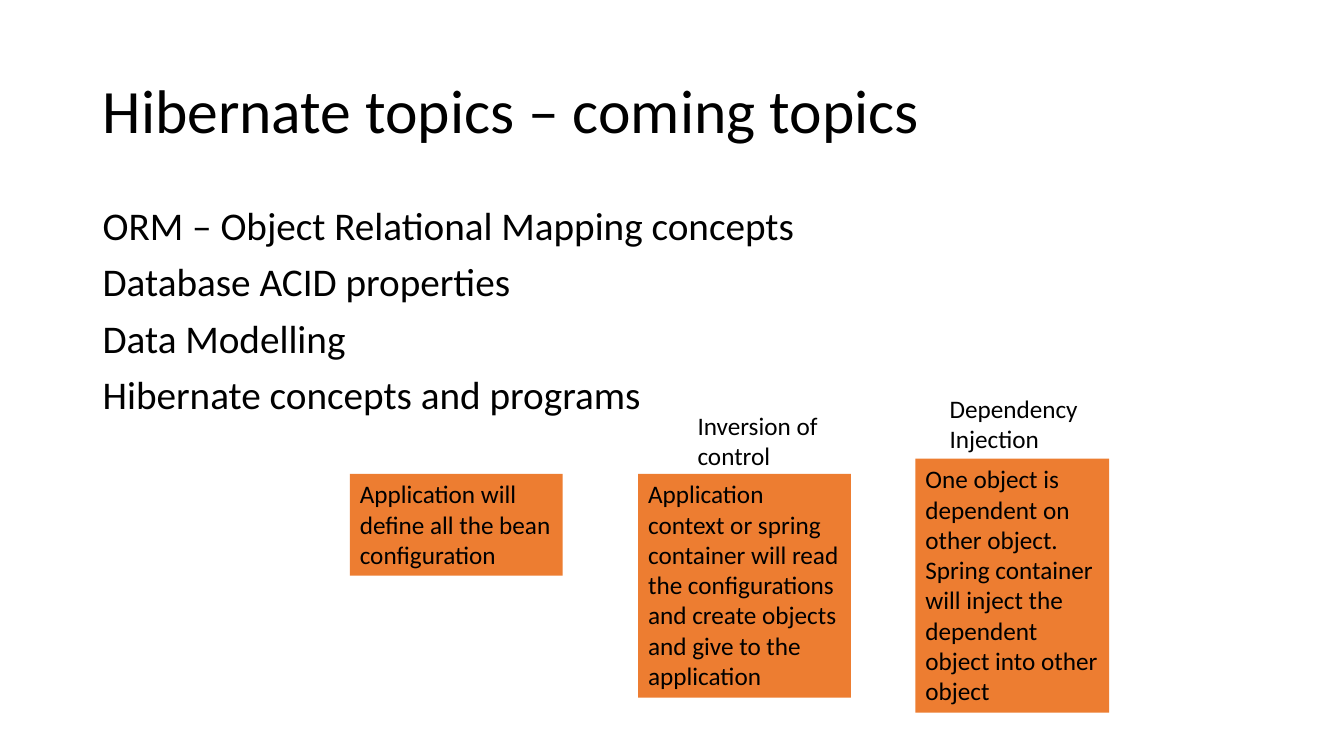
"""Build a slide on coming Hibernate topics with three notes."""
from pptx import Presentation
from pptx.dml.color import RGBColor
from pptx.enum.shapes import MSO_SHAPE
from pptx.enum.text import MSO_ANCHOR, PP_ALIGN
from pptx.util import Inches, Pt


def color(code):
    return RGBColor.from_string(code)


def write(frame, *lines, size=18, font="Calibri", ink="000000",
          lead=None, gap=0, anchor=MSO_ANCHOR.TOP):
    frame.word_wrap = True
    frame.vertical_anchor = anchor
    for row, line in enumerate(lines):
        para = frame.add_paragraph() if row else frame.paragraphs[0]
        para.alignment = PP_ALIGN.LEFT
        para.line_spacing = lead
        para.space_before = Pt(gap)
        run = para.add_run()
        run.text = line
        run.font.size = Pt(size)
        run.font.name = font
        run.font.color.rgb = color(ink)


class Deck:
    def __init__(self, wide, high, fill):
        self.show = Presentation()
        self.show.slide_width = Inches(wide)
        self.show.slide_height = Inches(high)
        self.slide = self.show.slides.add_slide(self.show.slide_layouts[6])
        self.fill = fill

    def text(self, box, *lines, **style):
        shape = self.slide.shapes.add_textbox(*map(Inches, box))
        write(shape.text_frame, *lines, **style)

    def note(self, box, line):
        shape = self.slide.shapes.add_shape(
            MSO_SHAPE.RECTANGLE, *map(Inches, box))
        shape.shadow.inherit = False
        shape.fill.solid()
        shape.fill.fore_color.rgb = color(self.fill)
        shape.line.fill.background()
        write(shape.text_frame, line)


def main():
    deck = Deck(13.33, 7.5, "ED7D31")
    deck.text((0.92, 0.4, 11.5, 1.45), "Hibernate topics – coming topics",
              size=44, lead=0.9, anchor=MSO_ANCHOR.MIDDLE)
    deck.text((0.92, 2, 11.5, 4.76),
              "ORM – Object Relational Mapping concepts",
              "Database ACID properties",
              "Data Modelling",
              "Hibernate concepts and programs",
              size=28, lead=0.9, gap=10)
    notes = [
        ((3.47, 4.7, 2.11, 1.01),
         "Application will define all the bean configuration"),
        ((6.33, 4.7, 2.11, 2.22),
         "Application context or spring container will read the "
         "configurations and create objects and give to the application"),
        ((9.08, 4.55, 1.92, 2.52),
         "One object is dependent on other object. Spring container "
         "will inject the dependent object into other object"),
    ]
    for box, line in notes:
        deck.note(box, line)
    heads = [(6.82, 4.02, "Inversion of control"),
             (9.32, 3.85, "Dependency Injection")]
    for left, top, line in heads:
        deck.text((left, top, 2.11, 0.71), line)
    deck.show.save("out.pptx")


if __name__ == "__main__":
    main()
